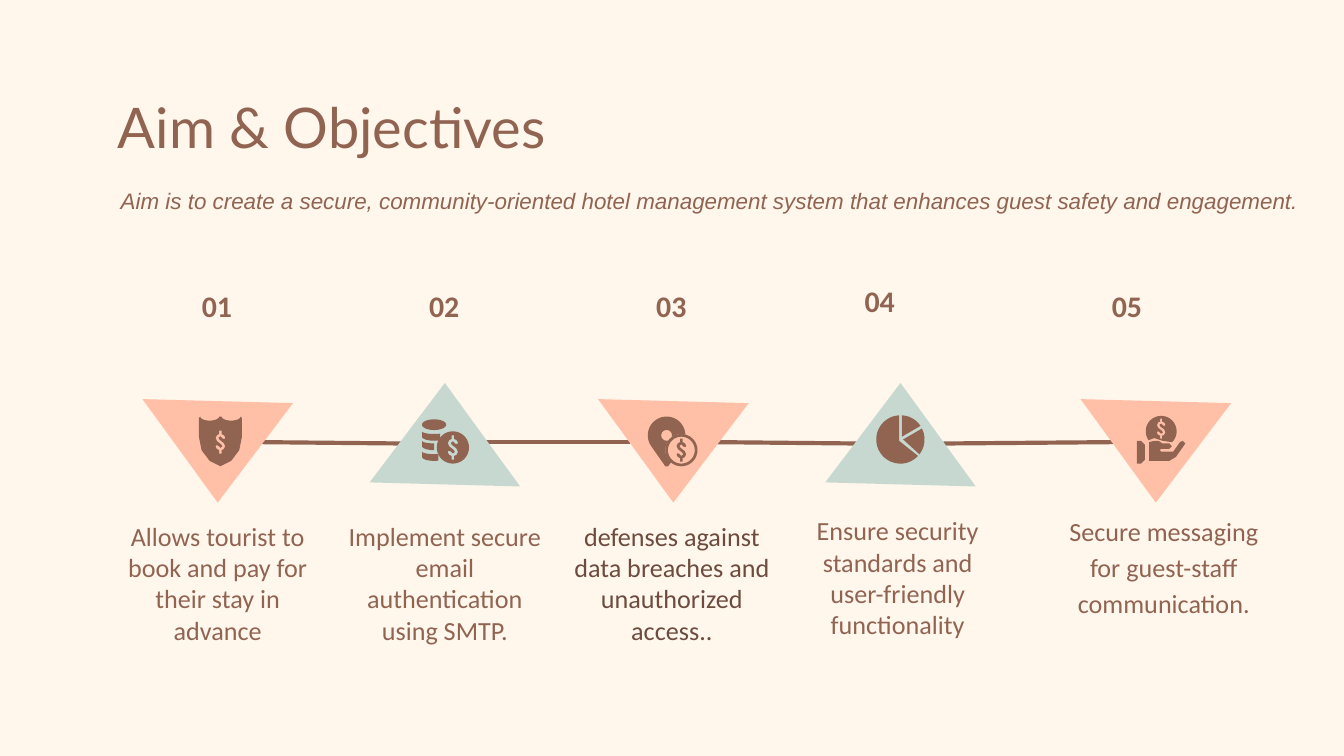
import math

from lxml import etree
from pptx import Presentation
from pptx import util as u
from pptx.dml.color import RGBColor
from pptx.enum import shapes, text
from pptx.oxml import ns

WIDTH = 10
HEIGHT = WIDTH * 9 / 16
FIRST_COLUMN, COLUMN_PITCH = 1.62, 1.69
AXIS = 3.29
CREAM, BROWN, DARK_BROWN = "FFF6EC", "916452", "6D4B3E"
PEACH, SAGE = "FFC0A7", "C7D8D0"

# caption, colour, caption top, caption shift, number shift, triangle shift
STEPS = [
    ("Allows tourist to book and pay for their stay in advance", BROWN, 3.77, 0, 0, 0),
    ("Implement secure email authentication using SMTP.", BROWN, 3.77, 0, 0, 0),
    ("defenses against data breaches and unauthorized access..", DARK_BROWN, 3.77, 0, 0, 0.01),
    ("Ensure security standards and user-friendly functionality", BROWN, 3.73, -0.01, -0.14, 0.01),
    ("Secure messaging for guest-staff communication.", BROWN, 3.7, 0.03, 0.01, 0.22),
]
LINKS = [
    (1.94, 3.29, 3, 3.3),
    (3.57, 3.29, 4.69, 3.29),
    (5.32, 3.29, 6.38, 3.3),
    (7.02, 3.3, 8.28, 3.29),
]


def colour(value):
    return RGBColor.from_string(value)


def column(index):
    return FIRST_COLUMN + COLUMN_PITCH * index


def add_text(slide, box, content, size, font, fill=BROWN, centred=False, bold=False, italic=False):
    shape = slide.shapes.add_textbox(*[u.Inches(length) for length in box])
    frame = shape.text_frame
    frame.text = content
    frame.word_wrap = True
    frame.margin_left = frame.margin_right = u.Inches(0.1)
    frame.margin_top = frame.margin_bottom = u.Inches(0.1)
    paragraph = frame.paragraphs[0]
    paragraph.alignment = text.PP_ALIGN.CENTER if centred else text.PP_ALIGN.LEFT
    run_font = paragraph.runs[0].font
    run_font.size, run_font.name = u.Pt(size), font
    run_font.bold, run_font.italic = bold, italic
    run_font.color.rgb = colour(fill)
    return paragraph


def add_link(slide, ends):
    line = slide.shapes.add_connector(
        shapes.MSO_CONNECTOR.STRAIGHT, *[u.Inches(length) for length in ends])
    line.line.color.rgb = colour(BROWN)
    line.line.width = u.Pt(2.25)
    etree.SubElement(line._element.spPr, ns.qn("a:effectLst"))


def add_outline(slide, x, fill, *contours):
    """Fill contours given around (x, AXIS); inner contours become holes."""
    builder = None
    for contour in contours:
        points = [(u.Inches(x + dx), u.Inches(AXIS + dy)) for dx, dy in contour]
        if builder is None:
            builder = slide.shapes.build_freeform(*points[0])
        else:
            builder.move_to(*points[0])
        builder.add_line_segments(points[1:], close=True)
    shape = builder.convert_to_shape()
    shape.shadow.inherit = False
    shape.fill.solid()
    shape.fill.fore_color.rgb = colour(fill)
    shape.line.fill.background()


def arc(x, y, radius_x, radius_y, start=0, end=360):
    """Points of an ellipse arc, in degrees clockwise from the right."""
    steps = max(6, abs(end - start) // 10)
    angles = [math.radians(start + (end - start) * i / steps) for i in range(steps + 1)]
    return [(x + radius_x * math.cos(a), y + radius_y * math.sin(a)) for a in angles]


def circle(x, y, radius):
    return arc(x, y, radius, radius)


def dollar(x, y, height):
    """A dollar sign, whose lower half is the upper one turned round."""
    half = [(-0.25, -0.7), (-0.25, -1), (0.25, -1), (0.25, -0.7), (0.75, -0.6),
            (1, -0.4), (0.9, -0.28), (0.5, -0.3), (0, -0.5), (-0.4, -0.38),
            (-0.2, -0.22), (0.7, 0.08), (1, 0.36), (0.7, 0.62)]
    sign = half + [(-dx, -dy) for dx, dy in half]
    return [(x + dx * height * 0.21, y + dy * height / 2) for dx, dy in sign]


def draw_shield(slide, x):
    scallops = arc(-0.06, -0.19, 0.07, 0.03, 180, 0) + arc(0.1, -0.19, 0.07, 0.03, 180, 0)
    sides = [(0.18, -0.18), (0.18, -0.04), (0.16, 0.06), (0.1, 0.14), (0.02, 0.18),
             (-0.06, 0.14), (-0.12, 0.06), (-0.14, -0.04), (-0.14, -0.18)]
    add_outline(slide, x, BROWN, scallops + sides, dollar(0.02, 0, 0.17))


def draw_coins(slide, x):
    add_outline(slide, x, BROWN, circle(0.06, 0.04, 0.12), dollar(0.06, 0.04, 0.18))
    add_outline(slide, x, BROWN, arc(-0.08, -0.13, 0.09, 0.04))
    for top, end in [(-0.08, 60), (-0.01, 90), (0.07, 70)]:
        add_outline(slide, x, BROWN,
                    arc(-0.08, top, 0.09, 0.02, 180, end)
                    + arc(-0.08, top + 0.04, 0.09, 0.03, end, 180))


def draw_pin(slide, x):
    pin = arc(-0.05, -0.05, 0.14, 0.14, 145, 355) + [(0.09, -0.06)]
    coin_edge = arc(0.06, 0.06, 0.12, 0.12, 285, 130)
    tip = [(-0.04, 0.18), (-0.06, 0.18)]
    add_outline(slide, x, BROWN, pin + coin_edge + tip, circle(-0.05, -0.05, 0.04))
    add_outline(slide, x, BROWN, circle(0.06, 0.06, 0.12), circle(0.06, 0.06, 0.1))
    add_outline(slide, x, BROWN, dollar(0.06, 0.06, 0.17))


def draw_pie(slide, x):
    for dx, dy, start, end in [(0.02, -0.02, -27, 38), (0.01, -0.04, -87, -34),
                               (-0.01, -0.01, 43, 267)]:
        add_outline(slide, x, BROWN, [(dx, dy)] + arc(0, -0.02, 0.18, 0.18, start, end))


def draw_hand(slide, x):
    add_outline(slide, x, BROWN, [(-0.14, -0.01), (-0.11, -0.01), (-0.08, 0.02),
                                  (-0.08, 0.13), (-0.11, 0.16), (-0.14, 0.16)])
    coin = arc(0.04, -0.08, 0.115, 0.115, 145, 405)
    add_outline(slide, x, BROWN, coin + [(0.05, -0.01), (-0.01, -0.03)], dollar(0.04, -0.1, 0.15))
    palm = [(-0.05, 0), (-0.01, -0.01), (0.02, -0.01), (0.05, 0.01), (0.1, 0.01),
            (0.12, 0.03), (0.1, 0.05), (0.04, 0.05), (0.03, 0.06), (0.04, 0.07),
            (0.11, 0.07), (0.13, 0.07), (0.18, 0), (0.2, -0.01), (0.22, 0.01),
            (0.15, 0.11), (0.1, 0.14), (-0.05, 0.14)]
    add_outline(slide, x, BROWN, palm)


def add_triangle(slide, x, upward):
    if upward:
        add_outline(slide, x, SAGE, [(-0.56, 0.3), (0, -0.44), (0.56, 0.33)])
    else:
        add_outline(slide, x, PEACH, [(0.56, -0.29), (0, 0.45), (-0.56, -0.32)])


def add_step_text(slide, index, step):
    caption, fill, top, caption_shift, number_shift, _ = step
    centre = column(index)
    last = index == len(STEPS) - 1
    width = 2.3 if last else 1.67
    paragraph = add_text(slide, (centre + caption_shift - width / 2, top, width, 0.8), caption,
                         14, "Calibri", fill, centred=True)
    if last:
        paragraph.line_spacing = 1.15
        paragraph.space_before = u.Pt(12)
        paragraph._p.get_or_add_pPr().set("marL", str(u.Inches(0.5)))
    number_top = 2 if number_shift < 0 else 2.04
    add_text(slide, (centre + number_shift - 0.31, number_top, 0.61, 0.49),
             f"{index + 1:02}", 16, "Calibri", centred=True, bold=True)


def main():
    presentation = Presentation()
    presentation.slide_width = u.Inches(WIDTH)
    presentation.slide_height = u.Inches(HEIGHT)
    slide = presentation.slides.add_slide(presentation.slide_layouts[6])
    slide.background.fill.solid()
    slide.background.fill.fore_color.rgb = colour(CREAM)

    add_text(slide, (0.78, 0.59, 8.44, 0.63), "Aim & Objectives", 30, "Lato")
    for index, step in enumerate(STEPS):
        add_step_text(slide, index, step)
    for ends in LINKS:
        add_link(slide, ends)
    icons = [draw_shield, draw_coins, draw_pin, draw_pie, draw_hand]
    for index, (step, draw_icon) in enumerate(zip(STEPS, icons)):
        x = column(index) + step[-1]
        add_triangle(slide, x, upward=index % 2 == 1)
        draw_icon(slide, x)

    aim = add_text(slide, (0.8, 1.26, 10.59, 0.4),
                   "Aim is to create a secure, community-oriented hotel management system "
                   "that enhances guest safety and engagement.", 12, "Arial", italic=True)
    aim.line_spacing = 1.15
    aim.space_before = aim.space_after = u.Pt(12)
    presentation.save("out.pptx")


if __name__ == "__main__":
    main()
